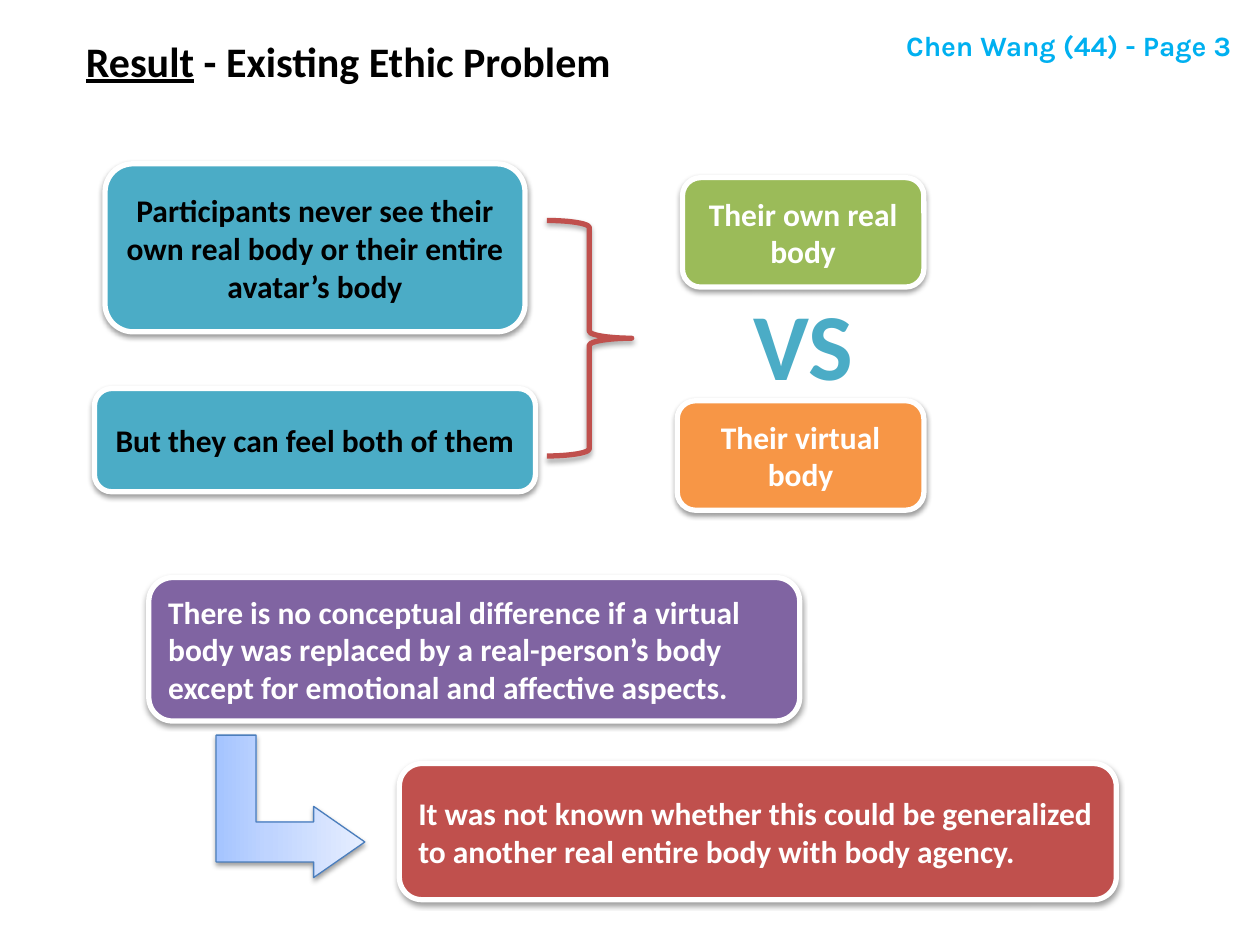
from dataclasses import dataclass

from lxml import etree
from pptx import Presentation
from pptx.dml.color import RGBColor
from pptx.enum import shapes, text
from pptx.oxml import ns
from pptx.util import Pt

BLACK = RGBColor(0x00, 0x00, 0x00)
WHITE = RGBColor(0xFF, 0xFF, 0xFF)
AQUA = RGBColor(0x4B, 0xAC, 0xC6)
DARK_AQUA = RGBColor(0x21, 0x59, 0x68)
LIGHT_AQUA = RGBColor(0x93, 0xCD, 0xDD)
GREEN = RGBColor(0x9B, 0xBB, 0x59)
ORANGE = RGBColor(0xF7, 0x96, 0x46)
PURPLE = RGBColor(0x80, 0x64, 0xA2)
RED = RGBColor(0xC0, 0x50, 0x4D)
SKY = RGBColor(0x00, 0xB0, 0xF0)
ARROW_LINE = RGBColor(0x4B, 0x7E, 0xBC)
ARROW_START = RGBColor(0xA4, 0xC4, 0xFF)
ARROW_MIDDLE = RGBColor(0xBF, 0xD4, 0xFF)
ARROW_END = RGBColor(0xE6, 0xEE, 0xFF)

LEFT, CENTER, RIGHT = text.PP_ALIGN.LEFT, text.PP_ALIGN.CENTER, text.PP_ALIGN.RIGHT


@dataclass
class Frame:
    """Position and size in points."""
    left: float
    top: float
    width: float
    height: float

    def lengths(self) -> tuple:
        return Pt(self.left), Pt(self.top), Pt(self.width), Pt(self.height)


@dataclass
class Card:
    words: str
    frame: Frame
    fill: RGBColor
    color: RGBColor = WHITE
    align: text.PP_ALIGN = CENTER


def add_shadow(shape, opacity: int = 38, distance: float = 1.6) -> None:
    """Give the shape a soft shadow that falls straight down."""
    shape.shadow.inherit = False
    effects = shape._element.spPr.find(ns.qn("a:effectLst"))
    shadow = etree.SubElement(
        effects, ns.qn("a:outerShdw"), blurRad=str(Pt(3.1)), dist=str(Pt(distance)),
        dir="5400000", rotWithShape="0")
    color = etree.SubElement(shadow, ns.qn("a:srgbClr"), val="000000")
    etree.SubElement(color, ns.qn("a:alpha"), val=str(opacity * 1000))


def set_gradient(fill, owner, stops: list, angle: float) -> None:
    """Fill with (percent, colour) stops; the angle is counter-clockwise."""
    fill.gradient()
    fill.gradient_angle = angle
    stop_list = owner.find(".//" + ns.qn("a:gsLst"))
    for old in list(stop_list):
        stop_list.remove(old)
    for percent, color in stops:
        stop = etree.SubElement(stop_list, ns.qn("a:gs"), pos=str(percent * 1000))
        etree.SubElement(stop, ns.qn("a:srgbClr"), val=str(color))


def set_font(font, size: float, color: RGBColor, name: str = "Calibri") -> None:
    font.name, font.size, font.bold = name, Pt(size), True
    font.color.rgb = color


def add_outlined(page, kind, frame: Frame, line: RGBColor, weight: float):
    shape = page.shapes.add_shape(kind, *frame.lengths())
    shape.line.color.rgb = line
    shape.line.width = Pt(weight)
    return shape


def add_card(page, card: Card) -> None:
    shape = add_outlined(page, shapes.MSO_SHAPE.ROUNDED_RECTANGLE, card.frame, WHITE, 3)
    shape.fill.solid()
    shape.fill.fore_color.rgb = card.fill
    add_shadow(shape)
    shape.text_frame.word_wrap = True
    shape.text_frame.vertical_anchor = text.MSO_ANCHOR.MIDDLE
    para = shape.text_frame.paragraphs[0]
    para.text = card.words
    para.alignment = card.align
    set_font(para.font, 18, card.color)


def add_label(page, frame: Frame, align: text.PP_ALIGN, wrap: bool = True):
    """Add an empty text box and return its frame and first paragraph."""
    box = page.shapes.add_textbox(*frame.lengths()).text_frame
    box.word_wrap = wrap
    box.auto_size = text.MSO_AUTO_SIZE.SHAPE_TO_FIT_TEXT
    para = box.paragraphs[0]
    para.alignment = align
    return box, para


CARDS = [
    Card("Participants never see their own real body or their entire avatar’s body",
         Frame(60, 93.6, 240, 96), AQUA, BLACK),
    Card("Their own real body", Frame(390, 101.5, 138, 62.6), GREEN),
    Card("But they can feel both of them", Frame(54, 222, 252, 59), AQUA, BLACK),
    Card("Their virtual body", Frame(387, 229, 141, 62.6), ORANGE),
    Card("There is no conceptual difference if a virtual body was replaced by a "
         "real-person’s body except for emotional and affective aspects.",
         Frame(85, 330, 372, 82), PURPLE, align=LEFT),
    Card("It was not known whether this could be generalized to another real "
         "entire body with body agency.",
         Frame(228.2, 436.3, 409.7, 77.8), RED, align=LEFT),
]


def main() -> None:
    deck = Presentation()
    deck.slide_width, deck.slide_height = Pt(720), Pt(540)
    page = deck.slides.add_slide(deck.slide_layouts[6])

    # Title, with its first word underlined
    _, para = add_label(page, Frame(42, 16.6, 330, 36), LEFT)
    for words, underline in (("Result", True), (" - Existing Ethic Problem", False)):
        span = para.add_run()
        span.text = words
        span.font.underline = underline
    set_font(para.font, 24, BLACK)

    # Statements
    for card in CARDS:
        add_card(page, card)

    # Contrast between the two bodies
    _, para = add_label(page, Frame(420.5, 160, 77, 72.7), CENTER)
    span = para.add_run()
    span.text = "VS"
    set_font(span.font, 54, AQUA)
    set_gradient(span.font.fill, span._r,
                 [(0, DARK_AQUA), (50, AQUA), (100, LIGHT_AQUA)], 270)

    # Brace joining the two findings
    brace = add_outlined(page, shapes.MSO_SHAPE.RIGHT_BRACE,
                         Frame(312.5, 126, 48.5, 134.6), RED, 3)
    brace.fill.background()
    add_shadow(brace, opacity=35, distance=1.8)

    # Arrow to the open question
    arrow = add_outlined(page, shapes.MSO_SHAPE.BENT_UP_ARROW,
                         Frame(125.3, 418.3, 81.4, 85), ARROW_LINE, 0.75)
    arrow.rotation = 90
    for index, value in enumerate((0.28, 0.25, 0.36)):
        arrow.adjustments[index] = value
    set_gradient(arrow.fill, arrow._element.spPr,
                 [(0, ARROW_START), (35, ARROW_MIDDLE), (100, ARROW_END)], 90)
    add_shadow(arrow)

    # Author and page
    box, para = add_label(page, Frame(499, 16.6, 204.5, 19.4), RIGHT, wrap=False)
    box.margin_left = box.margin_top = box.margin_right = box.margin_bottom = 0
    para.text = "Chen Wang (44) - Page 3"
    set_font(para.font, 16, SKY, "Karla")

    deck.save("out.pptx")


if __name__ == "__main__":
    main()
